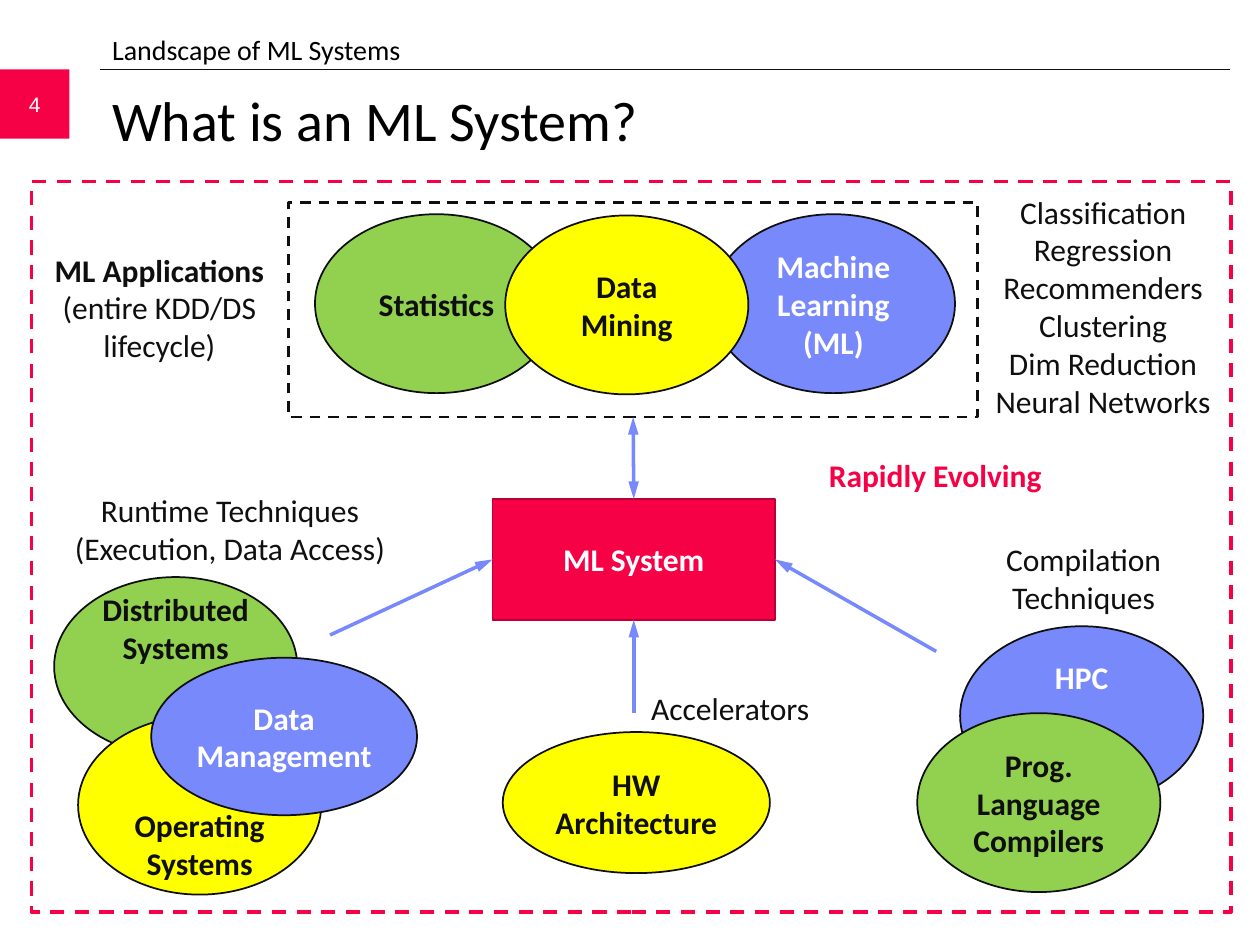
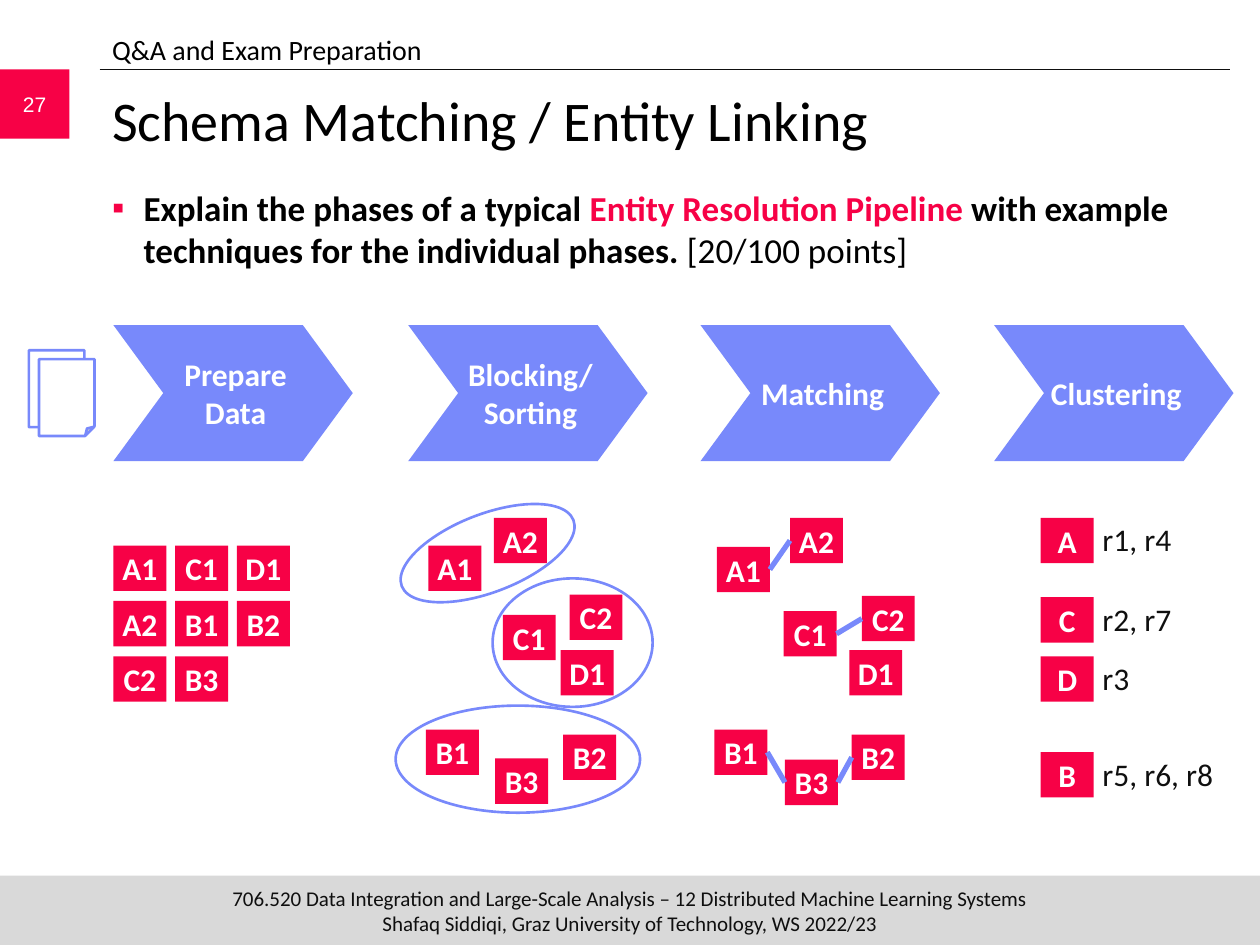
from dataclasses import dataclass

from lxml.etree import SubElement
from pptx import Presentation
from pptx.dml.color import RGBColor
from pptx.enum.dml import MSO_LINE
from pptx.enum.shapes import MSO_CONNECTOR, MSO_SHAPE
from pptx.enum.text import MSO_ANCHOR, MSO_AUTO_SIZE, PP_ALIGN
from pptx.oxml.ns import qn
from pptx.util import Pt

SCALE = 9144  # EMU in one px, at 100 px to the inch
TOP, LEFT, BASE, RIGHT = range(4)  # connection sites of a rectangle


@dataclass(frozen=True)
class Theme:
    red: str = "F70146"
    wine: str = "B70134"
    blue: str = "7889FB"
    green: str = "92D050"
    yellow: str = "FFFF00"
    grey: str = "D9D9D9"
    ink: str = "0F0F0F"
    black: str = "000000"
    white: str = "FFFFFF"
    font: str = "Calibri"
    digit: str = "Arial"
    title: int = 32
    list: int = 20
    label: int = 18
    head: int = 16
    foot: int = 12


T = Theme()
FOOT = ("706.520 Data Integration and Large-Scale Analysis – 12 Distributed Machine Learning Systems\n"
        "Shafaq Siddiqi, Graz University of Technology, WS 2022/23")
PAD = (10, 5, 10, 5)
SLIM = (0, 5, 0, 5)
NONE = (0, 0, 0, 0)
RAISE = (0, 5, 0, 66)
LOWER = (0, 66, 0, 5)


def px(*sizes):
    return [size * SCALE for size in sizes]


def rgb(code):
    return RGBColor.from_string(code)


def mark(para, sign):
    """Give the paragraph a red bullet, or none when sign is empty."""
    props = para._p.get_or_add_pPr()
    indent = 25 * SCALE if sign else 0
    props.set("marL", str(indent))
    props.set("indent", str(-indent))
    if sign:
        tint = SubElement(props, qn("a:buClr"))
        SubElement(tint, qn("a:srgbClr"), val=T.red)
        SubElement(props, qn("a:buChar"), char=sign)
    else:
        SubElement(props, qn("a:buNone"))


def write(frame, paras, color=T.ink, size=T.label, bold=False, font=T.font,
          align=PP_ALIGN.CENTER, anchor=MSO_ANCHOR.MIDDLE, pad=PAD, sign=None):
    """Fill a text frame; a paragraph is a string or a list of (text, bold, color)."""
    frame.word_wrap = True
    frame.auto_size = MSO_AUTO_SIZE.NONE
    frame.vertical_anchor = anchor
    (frame.margin_left, frame.margin_top,
     frame.margin_right, frame.margin_bottom) = px(*pad)
    for i, item in enumerate(paras):
        para = frame.add_paragraph() if i else frame.paragraphs[0]
        para.alignment = align
        para.space_before = Pt(0)
        if sign is not None:
            mark(para, sign)
        para.font.name, para.font.size = font, Pt(size)
        if isinstance(item, str):
            para.text = item
            para.font.bold = bold
            para.font.color.rgb = rgb(color)
            continue
        for text, heavy, tint in item:
            run = para.add_run()
            run.text = text
            run.font.bold = heavy
            run.font.color.rgb = rgb(tint)


def shape(slide, kind, box, fill=None, line=None, width=1.0, dash=False, text="", **look):
    item = slide.shapes.add_shape(kind, *px(*box))
    item.shadow.inherit = False
    if fill:
        item.fill.solid()
        item.fill.fore_color.rgb = rgb(fill)
    else:
        item.fill.background()
    if line:
        item.line.color.rgb = rgb(line)
        item.line.width = Pt(width)
        if dash:
            item.line.dash_style = MSO_LINE.DASH
    else:
        item.line.fill.background()
    if text:
        write(item.text_frame, [text], **look)
    return item


def note(slide, box, *paras, **look):
    frame = slide.shapes.add_textbox(*px(*box)).text_frame
    write(frame, paras, anchor=MSO_ANCHOR.TOP, **look)


def link(slide, start, end, color=T.blue, width=2.0, heads=()):
    """Draw a line; each end is a point or a (shape, site) pair."""
    line = slide.shapes.add_connector(MSO_CONNECTOR.STRAIGHT, 0, 0, 0, 0)
    if isinstance(start[0], int):
        line.begin_x, line.begin_y = px(*start)
    else:
        line.begin_connect(*start)
    if isinstance(end[0], int):
        line.end_x, line.end_y = px(*end)
    else:
        line.end_connect(*end)
    line.line.color.rgb = rgb(color)
    line.line.width = Pt(width)
    for head in heads:
        SubElement(line.line._get_or_add_ln(), qn(f"a:{head}"), type="triangle", len="lg")
    SubElement(line._element.spPr, qn("a:effectLst"))


def place(holder, box, paras, **look):
    holder.left, holder.top, holder.width, holder.height = px(*box)
    write(holder.text_frame, paras, align=PP_ALIGN.LEFT, anchor=MSO_ANCHOR.TOP, **look)


def start(deck, layout, page, topic, title):
    """Add a slide with its topic line, title and page number."""
    slide = deck.slides.add_slide(deck.slide_layouts[layout])
    *_, head = slide.placeholders
    place(slide.shapes.title, (79, 63, 896, 83), [title], color=T.black, size=T.title)
    place(head, (79, 21, 900, 36), [topic], color=T.black, size=T.head, sign="")
    link(slide, (79, 55), (976, 55), T.ink, 0.5)
    shape(slide, MSO_SHAPE.RECTANGLE, (0, 55, 55, 55), T.red, text=page,
          color=T.white, size=T.foot, font=T.digit)
    return slide


def oval(slide, box, fill, text, pad=SLIM):
    color = T.white if fill == T.blue else T.ink
    shape(slide, MSO_SHAPE.OVAL, box, fill, T.ink, text=text, color=color, bold=True, pad=pad)


def tile(slide, x, y, text):
    return shape(slide, MSO_SHAPE.RECTANGLE, (x, y, 42, 36), T.red, text=text,
                 color=T.white, bold=True, pad=NONE)


def tiles(slide, spots):
    return {name: tile(slide, x, y, name) for name, (x, y) in spots.items()}


def system(deck):
    slide = start(deck, 1, "4", "Landscape of ML Systems", "What is an ML System?")
    fields = shape(slide, MSO_SHAPE.RECTANGLE, (229, 161, 547, 170),
                   line=T.ink, width=1.5, dash=True)
    oval(slide, (565, 170, 193, 142), T.blue, "Machine Learning (ML)", PAD)
    oval(slide, (250, 170, 193, 142), T.green, "Statistics", PAD)
    oval(slide, (401, 171, 193, 142), T.yellow, "Data Mining", PAD)
    note(slide, (24, 194, 205, 101), [("ML Applications", True, T.ink)],
         "(entire KDD/DS lifecycle)")
    note(slide, (774, 148, 203, 192), "Classification", "Regression", "Recommenders",
         "Clustering", "Dim Reduction", "Neural Networks")
    core = shape(slide, MSO_SHAPE.RECTANGLE, (391, 396, 224, 96), T.red, T.wine,
                 text="ML System", color=T.white, bold=True)
    link(slide, (core, TOP), (fields, BASE), heads=("headEnd", "tailEnd"))
    shape(slide, MSO_SHAPE.RECTANGLE, (25, 144, 952, 580), line=T.red, width=2, dash=True)

    oval(slide, (762, 497, 193, 142), T.blue, "HPC", RAISE)
    oval(slide, (728, 566, 193, 142), T.green, "Prog. Language Compilers")
    note(slide, (743, 424, 234, 71), "Compilation Techniques")

    oval(slide, (43, 458, 193, 142), T.green, "Distributed Systems", RAISE)
    oval(slide, (62, 568, 193, 142), T.yellow, "Operating Systems", LOWER)
    oval(slide, (120, 522, 211, 125), T.blue, "Data Management")
    note(slide, (34, 385, 297, 71), "Runtime Techniques (Execution, Data Access)")

    oval(slide, (399, 581, 212, 112), T.yellow, "HW Architecture", NONE)
    note(slide, (489, 542, 181, 40), "Accelerators")
    for tail, site in (((743, 517), RIGHT), ((262, 504), LEFT), ((503, 566), BASE)):
        link(slide, tail, (core, site), heads=("tailEnd",))
    note(slide, (648, 357, 200, 40), "Rapidly Evolving", color=T.red, bold=True,
         align=PP_ALIGN.LEFT)


def schema(deck):
    slide = start(deck, 3, "27", "Q&A and Exam Preparation", "Schema Matching / Entity Linking")
    task = [("Explain the phases of a typical ", True, T.black),
            ("Entity Resolution Pipeline", True, T.red),
            (" with example techniques for the individual phases. ", True, T.black),
            ("[20/100 points]", False, T.black)]
    place(slide.placeholders[1], (79, 143, 896, 540), [task], size=T.list, sign="▪")
    shape(slide, MSO_SHAPE.RECTANGLE, (0, 695, 1000, 55), T.grey, text=FOOT,
          size=T.foot, pad=NONE)

    phases = ("Prepare Data", "Blocking/Sorting", "Matching", "Clustering")
    for x, phase in zip((90, 324, 556, 789), phases):
        step = shape(slide, MSO_SHAPE.CHEVRON, (x, 258, 190, 108), T.blue, text=phase,
                     color=T.white, bold=True, pad=(4, 5, 0, 5))
        step.adjustments[0] = 0.367
    for x, y in ((23, 278), (31, 285)):
        shape(slide, MSO_SHAPE.FOLDED_CORNER, (x, y, 44, 61), T.white, T.blue, 1.5)

    rows = ("A1 C1 D1", "A2 B1 B2", "C2 B3")
    for r, row in enumerate(rows):
        for c, name in enumerate(row.split()):
            tile(slide, 90 + 49 * c, 433 + 44 * r, name)

    tiles(slide, {"A1": (340, 433), "A2": (392, 411), "C1": (399, 488), "D1": (445, 516),
                  "B1": (338, 579), "B2": (447, 583), "C2": (452, 472), "B3": (393, 602)})
    for *box, turn in ((314, 560, 194, 85, 0), (391, 459, 127, 102, 0), (314, 408, 146, 62, 339)):
        block = shape(slide, MSO_SHAPE.OVAL, box, line=T.blue, width=1.5)
        block.rotation = turn

    match = tiles(slide, {"A1": (569, 434), "A2": (627, 411), "C1": (622, 485),
                          "D1": (674, 516), "B1": (567, 579), "B2": (676, 583),
                          "C2": (684, 473), "B3": (623, 603)})
    for a, b in (("A1", "A2"), ("C1", "C2"), ("B1", "B3"), ("B3", "B2")):
        link(slide, (match[a], RIGHT), (match[b], LEFT), width=3)

    groups = (("A", 411, "r1, r4"), ("C", 474, "r2, r7"), ("D", 521, "r3"), ("B", 597, "r5, r6, r8"))
    for name, y, refs in groups:
        tile(slide, 826, y, name)
        note(slide, (875, y - 3, 107, 41), refs, align=PP_ALIGN.LEFT, pad=SLIM)


def main():
    deck = Presentation()
    deck.slide_width, deck.slide_height = px(1000, 750)
    system(deck)
    schema(deck)
    deck.save("out.pptx")


if __name__ == "__main__":
    main()
